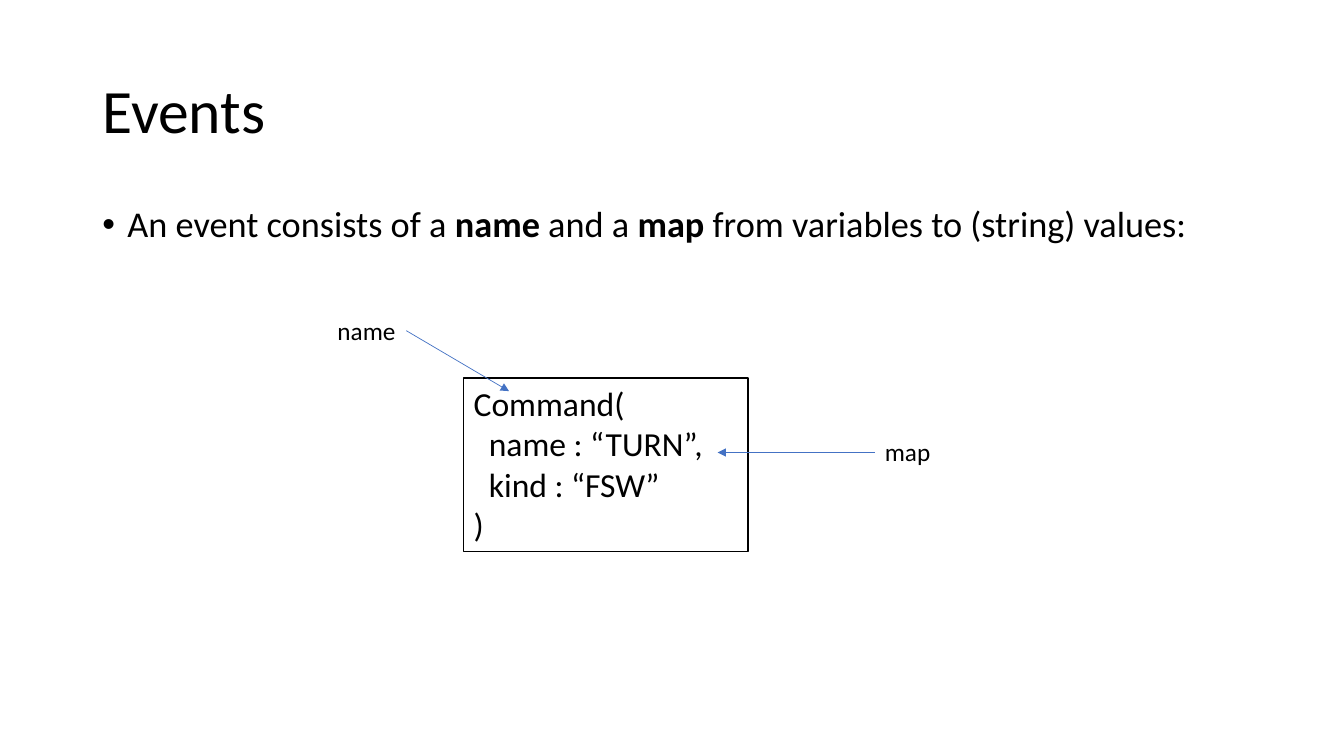
from lxml.etree import SubElement
from pptx import Presentation
from pptx.dml.color import RGBColor
from pptx.enum.shapes import MSO_CONNECTOR as CONN, MSO_SHAPE as SHAPE
from pptx.enum.text import MSO_ANCHOR as ANCHOR, PP_ALIGN as ALIGN
from pptx.oxml.ns import qn
from pptx.util import Pt

BLACK = RGBColor(0, 0, 0)
WHITE = RGBColor(255, 255, 255)
BLUE = RGBColor(0x44, 0x72, 0xC4)


def add_run(p, text, size, bold=False):
    r = p.add_run()
    r.text = text
    for key, value in {"name": "Calibri", "size": Pt(size), "bold": bold}.items():
        setattr(r.font, key, value)
    r.font.color.rgb = BLACK


def add_title(slide, x, y, w, h):
    sp = slide.shapes.title
    for key, value in {"left": x, "top": y, "width": w, "height": h}.items():
        setattr(sp, key, Pt(value))
    sp.text_frame.vertical_anchor = ANCHOR.MIDDLE
    p = sp.text_frame.paragraphs[0]
    p.alignment, p.line_spacing = ALIGN.LEFT, 0.9
    add_run(p, "Events", 44)


def add_bullet(slide, x, y, w, h):
    tf = slide.shapes.add_textbox(Pt(x), Pt(y), Pt(w), Pt(h)).text_frame
    tf.word_wrap = True
    p = tf.paragraphs[0]
    p.line_spacing, p.space_before = 0.9, Pt(10)
    pPr = p._p.get_or_add_pPr()
    pPr.set("marL", str(Pt(18)))
    pPr.set("indent", str(Pt(-18)))
    SubElement(pPr, qn("a:buFont"), typeface="Arial")
    SubElement(pPr, qn("a:buChar"), char="•")
    # Every second part is a bold term
    parts = ["An event consists of a ", "name", " and a ", "map",
             " from variables to (string) values:"]
    for i, part in enumerate(parts):
        add_run(p, part, 25.9, bold=i % 2 == 1)


def add_label(slide, text, x, y, w, h=29):
    tf = slide.shapes.add_textbox(Pt(x), Pt(y), Pt(w), Pt(h)).text_frame
    tf.word_wrap = False
    add_run(tf.paragraphs[0], text, 18)


def add_arrow(slide, x1, y1, x2, y2):
    line = slide.shapes.add_connector(CONN.STRAIGHT, Pt(x1), Pt(y1), Pt(x2), Pt(y2))
    line.line.color.rgb = BLUE
    line.line.width = Pt(0.5)
    SubElement(line.line._get_or_add_ln(), qn("a:tailEnd"), type="triangle")
    SubElement(line._element.spPr, qn("a:effectLst"))


def add_event_diagram(slide, x, y, w, h):
    # Event box
    sp = slide.shapes.add_shape(SHAPE.RECTANGLE, Pt(x), Pt(y), Pt(w), Pt(h))
    sp.shadow.inherit = False
    sp.fill.solid()
    sp.fill.fore_color.rgb = WHITE
    sp.line.color.rgb = BLACK
    sp.line.width = Pt(1)
    tf = sp.text_frame
    tf.word_wrap = True
    tf.vertical_anchor = ANCHOR.TOP
    code = [("Command(", 0), ("name : “TURN”,", 1), ("kind : “FSW”", 1), (")", 0)]
    for i, (text, level) in enumerate(code):
        p = tf.add_paragraph() if i else tf.paragraphs[0]
        p.alignment = ALIGN.LEFT
        pPr = p._p.get_or_add_pPr()
        pPr.set("marL", str(Pt(10.85 * level)))
        pPr.set("indent", "0")
        add_run(p, text, 24)
    # Labels with arrows into the box
    add_label(slide, "name", x - 97.2, y - 48.2, 56)
    add_arrow(slide, x - 41, y - 33.8, x + 32.4, y + 9.4)
    add_label(slide, "map", x + w + 90.8, y + 38.2, 47.5)
    add_arrow(slide, x + w + 90.8, y + 53.2, x + w - 21.6, y + 53.2)


def main():
    prs = Presentation()
    prs.slide_width, prs.slide_height = Pt(960), Pt(540)
    slide = prs.slides.add_slide(prs.slide_layouts[5])
    add_title(slide, 66, 28.8, 828, 104.4)
    add_bullet(slide, 66, 144, 828, 59)
    add_event_diagram(slide, 331.2, 270, 203, 123.8)
    prs.save("out.pptx")


if __name__ == "__main__":
    main()
